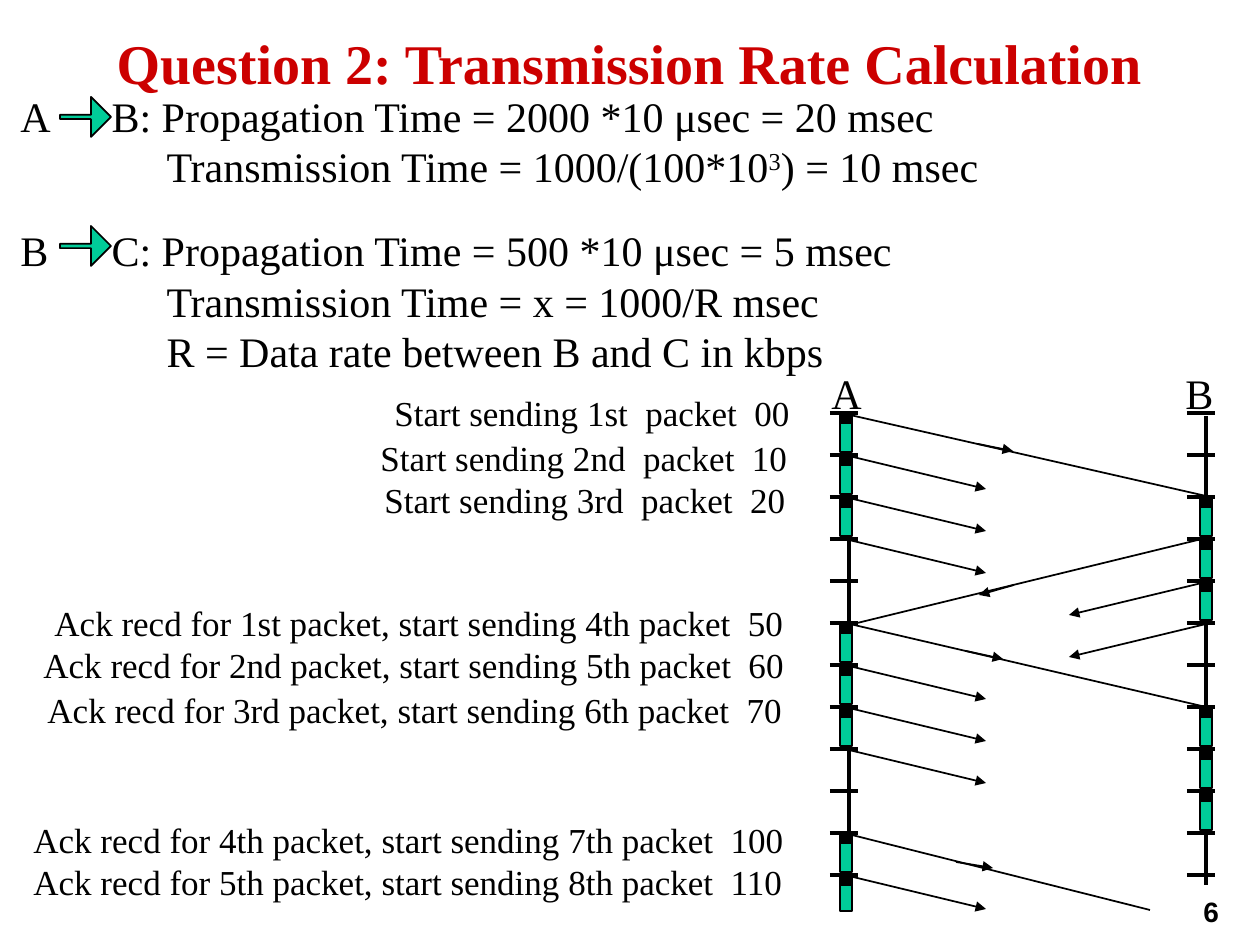
from lxml.etree import SubElement
from pptx import Presentation
from pptx.dml.color import RGBColor
from pptx.enum.shapes import MSO_CONNECTOR, MSO_SHAPE
from pptx.enum.text import MSO_ANCHOR, MSO_AUTO_SIZE, PP_ALIGN
from pptx.oxml.ns import qn
from pptx.util import Emu, Pt

COLORS = {"title": "CC0000", "ink": "000000", "packet": "00CC99"}
SERIF = "Times New Roman"
FIRST_TICK, TICK_GAP, TICK_COUNT = 413, 42, 12
AXES = {"A": 849, "B": 1206}
PACKET_TICKS = {"A": (0, 1, 2, 5, 6, 7, 10, 11), "B": (2, 3, 4, 7, 8, 9)}
SHORT_ARROW_TICKS = {"A": (1, 2, 3, 6, 7, 8, 11), "B": (4, 5)}
FLIGHTS = [
    (850, 415, 1206, 496),
    (1206, 538, 849, 625),
    (850, 624, 1206, 707),
    (848, 834, 1150, 910),
]
FLIGHT_ARROWS = [
    (978, 444, 1013, 451),
    (1014, 585, 979, 595),
    (966, 651, 1003, 659),
    (956, 862, 993, 868),
]
EVENTS = [
    (382, 385, 445, "Start sending 1st  packet  00"),
    (368, 430, 459, "Start sending 2nd  packet  10"),
    (372, 472, 455, "Start sending 3rd  packet  20"),
    (42, 595, 801, "Ack recd for 1st packet, start sending 4th packet  50"),
    (31, 637, 815, "Ack recd for 2nd packet, start sending 5th packet  60"),
    (35, 682, 811, "Ack recd for 3rd packet, start sending 6th packet  70"),
    (21, 812, 824, "Ack recd for 4th packet, start sending 7th packet  100"),
    (21, 854, 824, "Ack recd for 5th packet, start sending 8th packet  110"),
]
DELAYS = [
    ("B: Propagation Time = 2000 *10 μsec = 20 msec", 91, 0),
    ("Transmission Time = 1000/(100*10^3^) = 10 msec", 146, 0),
    ("C: Propagation Time = 500 *10 μsec = 5 msec", 91, 19.2),
    ("Transmission Time = x = 1000/R msec", 146, 0),
    ("R = Data rate between B and C in kbps", 146, 0),
]
SENDERS = [("A", 84, 97), ("B", 218, 226)]


def px(length):
    """Turn pixels into EMU."""
    return Emu(round(length * 914400 / 126))


def color(name):
    """Look up a named colour."""
    return RGBColor.from_string(COLORS[name])


def place(shape, left, top, width, height):
    """Move and size a shape."""
    shape.left, shape.top = px(left), px(top)
    shape.width, shape.height = px(width), px(height)


def style(paragraph, size, ink="ink", bold=False, name=SERIF):
    """Set the font of a whole paragraph."""
    font = paragraph.font
    font.name, font.size, font.bold = name, Pt(size), bold
    font.color.rgb = color(ink)


def add_title(slide, text):
    """Fill the title placeholder."""
    title = slide.shapes.title
    place(title, 94, 21, 1071, 158)
    frame = title.text_frame
    frame.text = text
    frame.auto_size = MSO_AUTO_SIZE.NONE
    frame.vertical_anchor = MSO_ANCHOR.TOP
    frame.margin_top = px(8)
    frame.paragraphs[0].alignment = PP_ALIGN.CENTER
    style(frame.paragraphs[0], 32, "title", bold=True)


def add_delays(slide):
    """Fill the body placeholder with the delay formulas."""
    body = slide.placeholders[1]
    place(body, 8, 84, 1242, 301)
    frame = body.text_frame
    frame.auto_size = MSO_AUTO_SIZE.NONE
    for index, (text, indent, space) in enumerate(DELAYS):
        paragraph = frame.add_paragraph() if index else frame.paragraphs[0]
        properties = paragraph._p.get_or_add_pPr()
        properties.set("marL", str(px(indent)))
        properties.set("indent", "0")
        SubElement(properties, qn("a:buNone"))
        paragraph.space_before = Pt(space)
        style(paragraph, 24)
        for part, words in enumerate(text.split("^")):
            run = paragraph.add_run()
            run.text = words
            if part == 1:
                run._r.get_or_add_rPr().set("baseline", "30000")


def add_text(slide, left, top, width, height, text, size, **font):
    """Add a one-line text box."""
    box = slide.shapes.add_textbox(px(left), px(top), px(width), px(height))
    box.text_frame.word_wrap = True
    box.text_frame.text = text
    style(box.text_frame.paragraphs[0], size, **font)


def add_block(slide, kind, left, top, width, height, fill):
    """Add a filled shape with a thin outline."""
    shape = slide.shapes.add_shape(kind, px(left), px(top), px(width), px(height))
    shape.shadow.inherit = False
    shape.fill.solid()
    shape.fill.fore_color.rgb = color(fill)
    shape.line.color.rgb = color("ink")
    shape.line.width = Pt(1)
    return shape


def add_line(slide, start_x, start_y, end_x, end_y, weight=1, arrow=False):
    """Add a straight line, with an arrowhead at its end if asked."""
    line = slide.shapes.add_connector(
        MSO_CONNECTOR.STRAIGHT, px(start_x), px(start_y), px(end_x), px(end_y)
    )
    line.line.color.rgb = color("ink")
    line.line.width = Pt(weight)
    if arrow:
        SubElement(line.line._get_or_add_ln(), qn("a:tailEnd"), type="triangle")
    SubElement(line._element.spPr, qn("a:effectLst"))


def add_axis(slide, x):
    """Add a vertical time axis with its ticks."""
    add_line(slide, x, 416, x, 885, weight=2)
    for tick in range(TICK_COUNT):
        y = FIRST_TICK + tick * TICK_GAP
        add_line(slide, x - 19, y, x + 9, y, weight=2)


def add_packet(slide, x, tick):
    """Add a packet with its dark header."""
    top = FIRST_TICK + 1 + tick * TICK_GAP
    height = 35 if tick == TICK_COUNT - 1 else 38
    add_block(slide, MSO_SHAPE.RECTANGLE, x, top, 12, height, "packet")
    add_block(slide, MSO_SHAPE.RECTANGLE, x, top, 12, 9, "ink")


def main():
    """Build the slide."""
    presentation = Presentation()
    presentation.slide_width, presentation.slide_height = px(1260), px(945)
    slide = presentation.slides.add_slide(presentation.slide_layouts[1])
    add_title(slide, "Question 2: Transmission Rate Calculation")
    add_delays(slide)
    for left, top, width, text in EVENTS:
        add_text(slide, left, top, width, 54, text, 20)
    for sender, text_top, arrow_top in SENDERS:
        add_text(slide, 8, text_top, 56, 63, sender, 24)
        arrow = add_block(slide, MSO_SHAPE.RIGHT_ARROW, 60, arrow_top, 51, 40, "packet")
        arrow.adjustments[0] = 0.11
    for x in AXES.values():
        add_axis(slide, x)
    for flight in FLIGHTS:
        add_line(slide, *flight)
    for station, left in (("A", 840), ("B", 1200)):
        for tick in PACKET_TICKS[station]:
            add_packet(slide, left, tick)
    for station, reach in (("A", 137), ("B", -137)):
        x = AXES[station]
        for tick in SHORT_ARROW_TICKS[station]:
            y = FIRST_TICK + 1 + tick * TICK_GAP
            add_line(slide, x, y, x + reach, y + 33, arrow=True)
    for arrow in FLIGHT_ARROWS:
        add_line(slide, *arrow, arrow=True)
    add_text(slide, 819, 361, 56, 63, "A", 24)
    add_text(slide, 1173, 361, 53, 63, "B", 24)
    add_text(slide, 1191, 888, 59, 45, "6", 16, bold=True, name="Arial")
    presentation.save("out.pptx")


if __name__ == "__main__":
    main()
